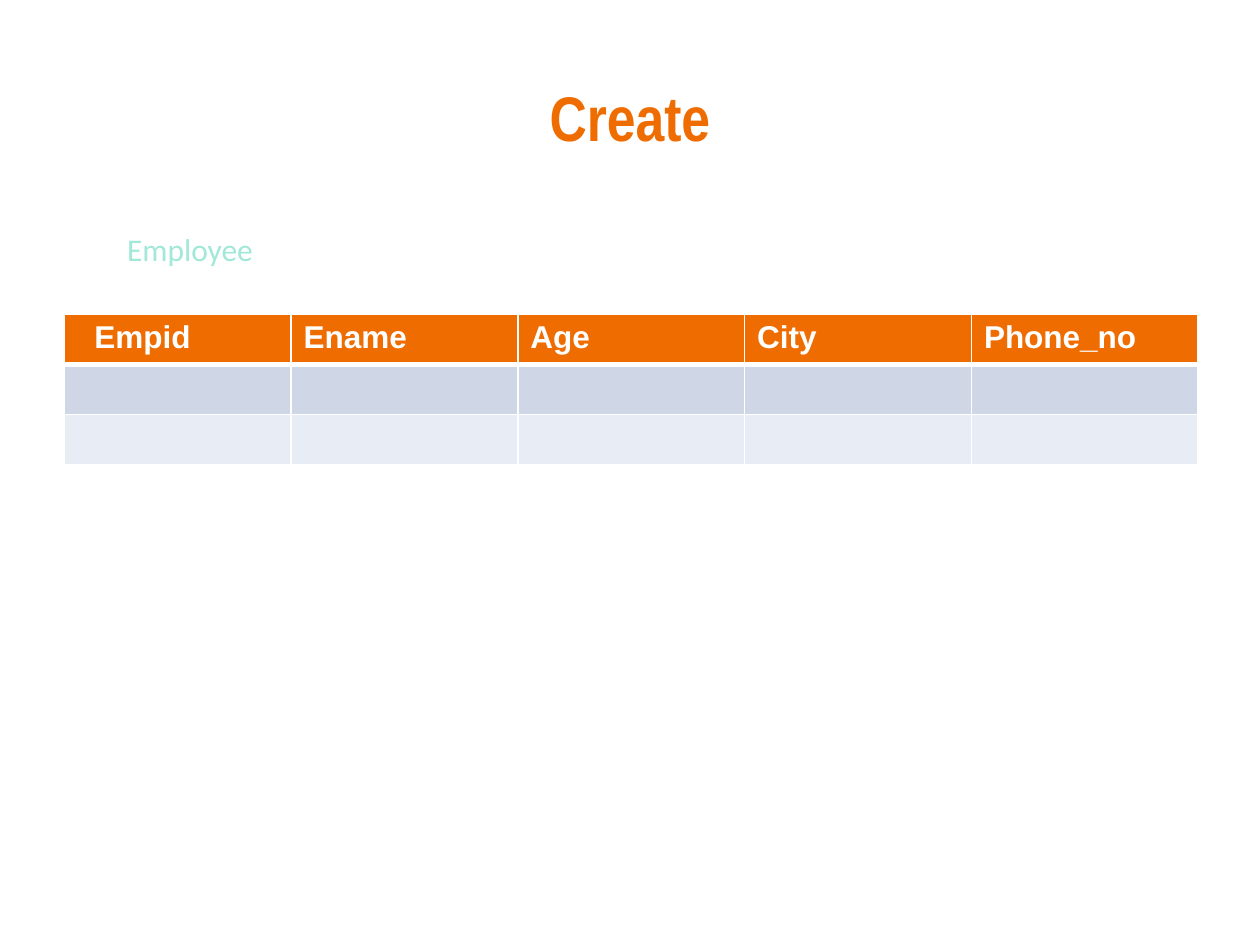
from dataclasses import dataclass

from lxml.etree import SubElement
from pptx import Presentation
from pptx.dml.color import RGBColor
from pptx.enum.text import MSO_ANCHOR, PP_ALIGN
from pptx.oxml.ns import qn
from pptx.util import Inches, Pt


@dataclass(frozen=True)
class Theme:
    accent: str = "EF6C00"
    caption: str = "A1E8D9"
    white: str = "FFFFFF"
    bands: tuple = ("CFD7E7", "E8ECF4")
    title_font: str = "Arial Narrow"
    header_font: str = "Arial"
    caption_font: str = "Calibri"
    title_size: int = 36
    body_size: int = 18
    thin_line: int = 1
    header_line: int = 3


class SlideBuilder:
    def __init__(self, slide, theme):
        self.slide = slide
        self.theme = theme

    def style(self, paragraph, font_name, size, color, bold=False):
        for run in paragraph.runs:
            run.font.name = font_name
            run.font.size = Pt(size)
            run.font.bold = bold
            run.font.color.rgb = RGBColor.from_string(color)

    def text(self, words, box, font_name, size, color, bold=False,
             align=PP_ALIGN.LEFT, anchor=MSO_ANCHOR.TOP, wrap=True):
        frame = self.slide.shapes.add_textbox(*map(Inches, box)).text_frame
        frame.word_wrap = wrap
        frame.vertical_anchor = anchor
        paragraph = frame.paragraphs[0]
        paragraph.text = words
        paragraph.alignment = align
        self.style(paragraph, font_name, size, color, bold)

    def borders(self, cell, top, bottom):
        thin = self.theme.thin_line
        properties = cell._tc.get_or_add_tcPr()
        for side, width in zip("LRTB", (thin, thin, top, bottom)):
            line = SubElement(properties, qn(f"a:ln{side}"), w=str(Pt(width)))
            fill = SubElement(line, qn("a:solidFill"))
            SubElement(fill, qn("a:srgbClr"), val=self.theme.white)

    def table(self, headers, left, top, column_width, row_height):
        theme = self.theme
        fills = (theme.accent, *theme.bands)
        columns = len(headers)
        table = self.slide.shapes.add_table(
            len(fills), columns, Inches(left), Inches(top),
            Inches(column_width * columns), Inches(row_height * len(fills))).table

        for row, color in enumerate(fills):
            for column in range(columns):
                cell = table.cell(row, column)
                self.borders(cell,
                             theme.header_line if row == 1 else theme.thin_line,
                             theme.header_line if row == 0 else theme.thin_line)
                cell.fill.solid()
                cell.fill.fore_color.rgb = RGBColor.from_string(color)
                paragraph = cell.text_frame.paragraphs[0]
                if row == 0:
                    paragraph.text = headers[column]
                    self.style(paragraph, theme.header_font, theme.body_size,
                               theme.white, bold=True)
        # The first heading is set in a little
        table.cell(0, 0).margin_left = Inches(0.24)


def main():
    presentation = Presentation()
    presentation.slide_width = Inches(10)
    presentation.slide_height = Inches(7.5)
    theme = Theme()
    builder = SlideBuilder(
        presentation.slides.add_slide(presentation.slide_layouts[6]), theme)

    # Title
    builder.text("Create", (0.5, 0.3, 9, 1.25), theme.title_font,
                 theme.title_size, theme.accent, bold=True,
                 align=PP_ALIGN.CENTER, anchor=MSO_ANCHOR.MIDDLE)

    # Employee table
    builder.table(("Empid", "Ename", "Age", "City", "Phone_no"),
                  left=0.51, top=2.49, column_width=1.8, row_height=0.4)

    # Table name
    builder.text("Employee", (0.91, 1.78, 1.21, 0.4), theme.caption_font,
                 theme.body_size, theme.caption, wrap=False)

    presentation.save("out.pptx")


if __name__ == "__main__":
    main()
